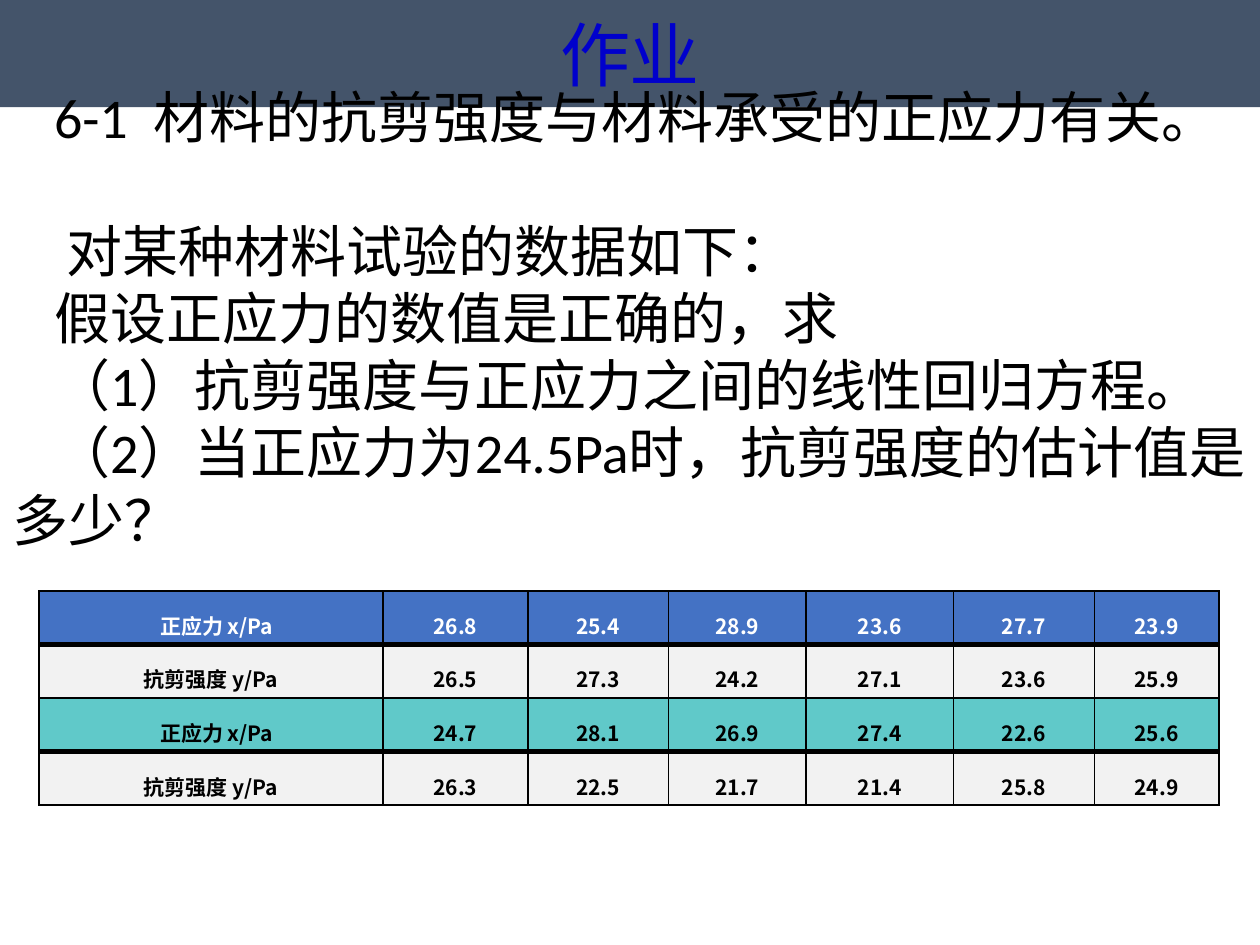
import pptx
import pptx.util
import pptx.dml.color
import pptx.enum.text
import pptx.oxml
import pptx.oxml.ns
import lxml.etree

Cm, Pt = pptx.util.Cm, pptx.util.Pt
PP_ALIGN = pptx.enum.text.PP_ALIGN
MSO_ANCHOR = pptx.enum.text.MSO_ANCHOR
C = {"bar": "44546A", "title": "0000CC", "black": "000000", "white": "FFFFFF",
     "head": "4472C4", "teal": "60C9C9", "grey": "F2F2F2"}
CJK = "Noto Sans CJK SC"
qn = pptx.oxml.ns.qn


def rgb(name):
    return pptx.dml.color.RGBColor.from_string(C[name])


def add_run(p, text, size, font, color, bold=False):
    r = p.add_run()
    r.text = text
    r.font.size, r.font.name, r.font.bold = Pt(size), font, bold
    r.font.color.rgb = rgb(color)
    ea = lxml.etree.SubElement(r._r.get_or_add_rPr(), qn("a:ea"))
    ea.set("typeface", CJK)


prs = pptx.Presentation()
prs.slide_width, prs.slide_height = Cm(25.4), Cm(19.05)
s = prs.slides.add_slide(prs.slide_layouts[5])

# Title bar
sp = s.shapes.title
sp.left, sp.top, sp.width, sp.height = Cm(0), Cm(0), Cm(25.4), Cm(2.16)
sp.fill.solid()
sp.fill.fore_color.rgb = rgb("bar")
tf = sp.text_frame
tf.auto_size = pptx.enum.text.MSO_AUTO_SIZE.NONE
tf.vertical_anchor = MSO_ANCHOR.MIDDLE
p = tf.paragraphs[0]
p.alignment = PP_ALIGN.CENTER
add_run(p, "作业", 40, "Times New Roman", "title")

# Test data: label, values, fill, text colour, left margin and indent of the label
rows = [
    ("正应力 x/Pa", "26.8 25.4 28.9 23.6 27.7 23.9", "head", "white", 0.23, 0),
    ("抗剪强度 y/Pa", "26.5 27.3 24.2 27.1 23.6 25.9", "grey", "black", 0.2, -0.2),
    ("正应力 x/Pa", "24.7 28.1 26.9 27.4 22.6 25.6", "teal", "black", 0.23, 0),
    ("抗剪强度 y/Pa", "26.3 22.5 21.7 21.4 25.8 24.9", "grey", "black", 0.2, -0.2),
]
widths = [6.93, 2.92, 2.84, 2.77, 2.97, 2.84, 2.51]
tbl = s.shapes.add_table(len(rows), len(widths), Cm(0.79), Cm(11.91),
                         Cm(sum(widths)), Cm(4.32)).table
for col, width in zip(tbl.columns, widths):
    col.width = Cm(width)
for i, (label, values, fill, color, margin, indent) in enumerate(rows):
    tbl.rows[i].height = Cm(1.08)
    # A thick rule separates each x row from the y row below it
    top, bottom = (1, 3) if i % 2 == 0 else (3, 1)
    for j, text in enumerate([label] + values.split()):
        cell = tbl.cell(i, j)
        cell.margin_left = cell.margin_right = Cm(0.2)
        cell.margin_top = cell.margin_bottom = Cm(0)
        cell.vertical_anchor = MSO_ANCHOR.MIDDLE
        tcPr = cell._tc.get_or_add_tcPr()
        for side, width in (("L", 1), ("R", 1), ("T", top), ("B", bottom)):
            ln = lxml.etree.SubElement(tcPr, qn("a:ln" + side), w=str(Pt(width)))
            solid = lxml.etree.SubElement(ln, qn("a:solidFill"))
            lxml.etree.SubElement(solid, qn("a:srgbClr"), val=C["black"])
        cell.fill.solid()
        cell.fill.fore_color.rgb = rgb(fill)
        p = cell.text_frame.paragraphs[0]
        p.alignment = PP_ALIGN.CENTER
        p.line_spacing = 1.5
        if j == 0:
            pPr = p._p.get_or_add_pPr()
            pPr.set("marL", str(Cm(margin)))
            pPr.set("indent", str(Cm(indent)))
        add_run(p, text, 12, CJK, color, True)

# Problem statement
lines = [
    "6-1  材料的抗剪强度与材料承受的正应力有关。",
    " 对某种材料试验的数据如下：",
    "假设正应力的数值是正确的，求",
    "（1）抗剪强度与正应力之间的线性回归方程。",
    "（2）当正应力为24.5Pa时，抗剪强度的估计值是多少？",
]
tf = s.shapes.add_textbox(Cm(0), Cm(2.16), Cm(25.4), Cm(8.48)).text_frame
tf.word_wrap = True
tf.vertical_anchor = MSO_ANCHOR.MIDDLE
for i, text in enumerate(lines):
    p = tf.add_paragraph() if i else tf.paragraphs[0]
    pPr = p._p.get_or_add_pPr()
    pPr.set("marL", "0")
    pPr.set("indent", str(Cm(0.84)))
    add_run(p, text, 32, "Calibri", "black")
tf.paragraphs[0].space_after = Pt(38)

prs.save("out.pptx")
